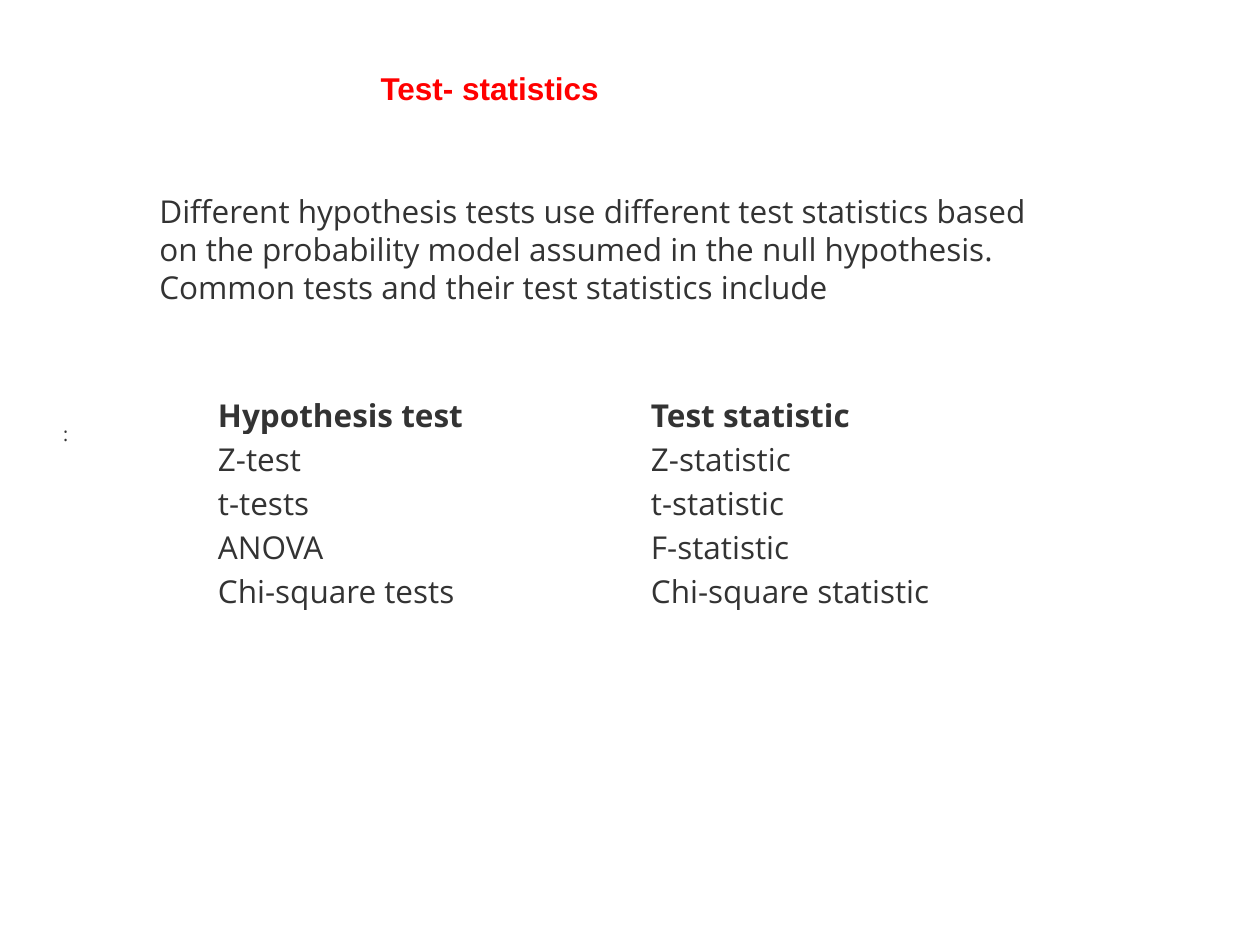
import pptx
import pptx.dml.color
import pptx.enum.text
import pptx.util

PX = 914400 // 126  # EMU per px


def px(*values):
    return [pptx.util.Emu(v * PX) for v in values]


def style(p, color, size=18, name="Open Sans", bold=False):
    p.font.size = pptx.util.Pt(size)
    p.font.name = name
    p.font.bold = bold
    p.font.color.rgb = pptx.dml.color.RGBColor.from_string(color)


prs = pptx.Presentation()
prs.slide_width, prs.slide_height = px(1260, 945)
s = prs.slides.add_slide(prs.slide_layouts[5])

# Title
title = s.shapes.title
title.left, title.top, title.width, title.height = px(368, 63, 630, 51)
tf = title.text_frame
tf.text = "Test- statistics"
tf.vertical_anchor = pptx.enum.text.MSO_ANCHOR.TOP
tf.auto_size = pptx.enum.text.MSO_AUTO_SIZE.SHAPE_TO_FIT_TEXT
p = tf.paragraphs[0]
p.alignment = pptx.enum.text.PP_ALIGN.JUSTIFY
style(p, "FF0000", name="Arial", bold=True)

# Table of tests and their statistics
rows = [
    ("Hypothesis test", "Test statistic"),
    ("Z-test", "Z-statistic"),
    ("t-tests", "t-statistic"),
    ("ANOVA", "F-statistic"),
    ("Chi-square tests", "Chi-square statistic"),
]
table = s.shapes.add_table(len(rows), 2, *px(214, 391, 866, 220)).table
table.first_row = table.horz_banding = False
for i, texts in enumerate(rows):
    for j, text in enumerate(texts):
        cell = table.cell(i, j)
        cell.fill.background()
        cell.margin_left, cell.margin_right, cell.margin_top, cell.margin_bottom = px(4, 4, 3, 3)
        cell.text = text
        style(cell.text_frame.paragraphs[0], "333333", bold=i == 0)

# Colon at the left
tf = s.shapes.add_textbox(*px(63, 422, 4, 62)).text_frame
tf.margin_left = tf.margin_right = tf.margin_top = tf.margin_bottom = 0
tf.word_wrap = False
tf.text = ":"
style(tf.paragraphs[0], "333333", size=11)

# Introduction
tf = s.shapes.add_textbox(*px(147, 186, 924, 127)).text_frame
tf.word_wrap = True
tf.auto_size = pptx.enum.text.MSO_AUTO_SIZE.SHAPE_TO_FIT_TEXT
tf.text = (
    "Different hypothesis tests use different test statistics based on the "
    "probability model assumed in the null hypothesis. Common tests and "
    "their test statistics include"
)
style(tf.paragraphs[0], "333333")

prs.save("out.pptx")
